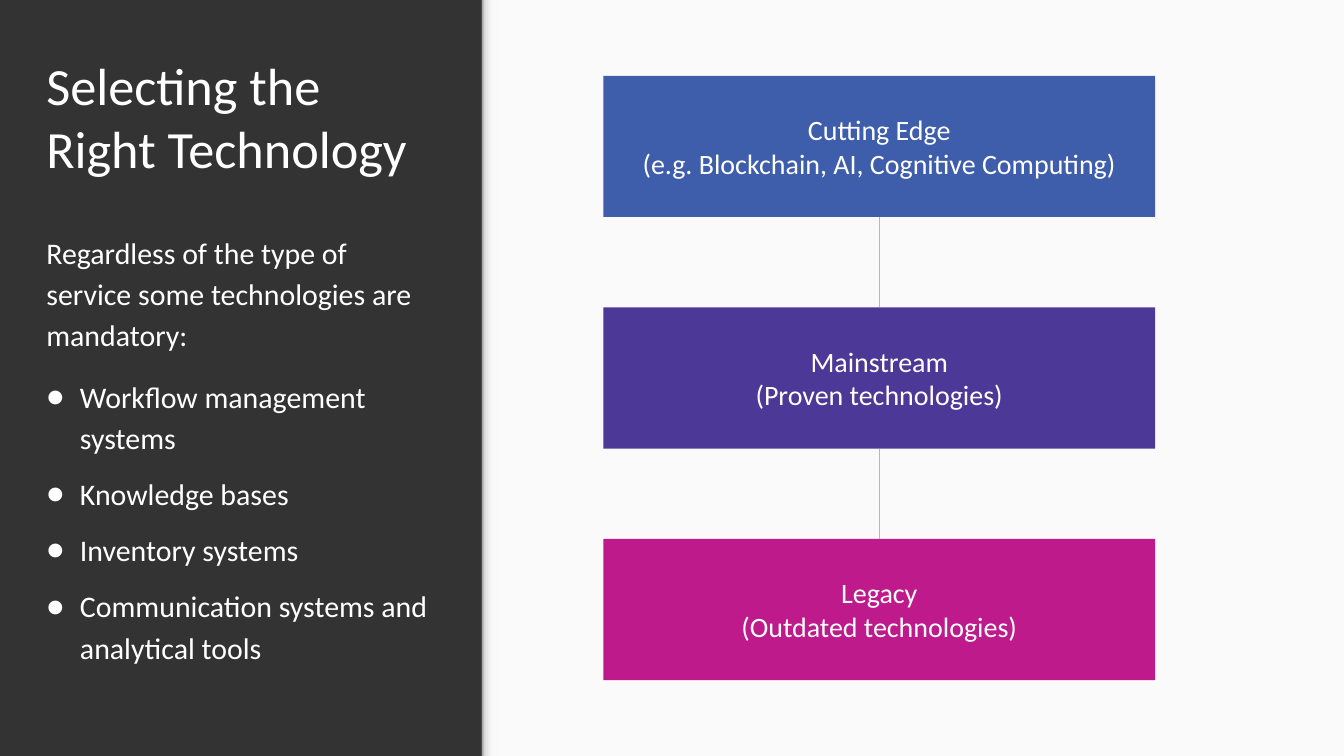
from lxml.etree import SubElement
from pptx import Presentation
from pptx.dml.color import RGBColor
from pptx.enum.shapes import MSO_CONNECTOR, MSO_SHAPE
from pptx.enum.text import MSO_ANCHOR, PP_ALIGN
from pptx.oxml.ns import qn
from pptx.util import Inches, Pt

FONT = "Calibri"
COLORS = {
    "dark": "333333",
    "panel": "FAFAFA",
    "white": "FFFFFF",
    "line": "B7B7B7",
    "blue": "3E5DAA",
    "purple": "4C3896",
    "magenta": "BE1A8C",
}
EDGE_STOPS = [(0, "999999"), (20, "DEDEDE"), (64, "F9F9F9"), (100, "F9F9F9")]
TITLE = "Selecting the Right Technology"
INTRO = "Regardless of the type of service some technologies are mandatory:"
MANDATORY = [
    "Workflow management systems",
    "Knowledge bases",
    "Inventory systems",
    "Communication systems and analytical tools",
]
STAGES = [
    ("Cutting Edge\n(e.g. Blockchain, AI, Cognitive Computing)", "blue"),
    ("Mainstream\n(Proven technologies)", "purple"),
    ("Legacy\n(Outdated technologies)", "magenta"),
]


def rgb(name):
    """Return the named colour."""
    return RGBColor.from_string(COLORS[name])


def add_bullet(p):
    """Give a paragraph a white round bullet and a hanging indent."""
    pPr = p._p.get_or_add_pPr()
    pPr.set("marL", str(Inches(0.5)))
    pPr.set("indent", str(Inches(-0.5)))
    clr = SubElement(pPr, qn("a:buClr"))
    SubElement(clr, qn("a:srgbClr"), val=COLORS["white"])
    SubElement(pPr, qn("a:buFont"), typeface=FONT)
    SubElement(pPr, qn("a:buChar"), char="●")


def write(sp, *texts, size=32, color="white", align=PP_ALIGN.LEFT,
          anchor=MSO_ANCHOR.TOP, spacing=None, after=None, bullets=False):
    """Fill a shape with one formatted paragraph per text."""
    tf = sp.text_frame
    tf.word_wrap = True
    tf.vertical_anchor = anchor
    tf.margin_left = tf.margin_right = Inches(0.2)
    tf.margin_top = tf.margin_bottom = Inches(0.2)
    for i, text in enumerate(texts):
        p = tf.add_paragraph() if i else tf.paragraphs[0]
        p.text = text
        p.alignment = align
        if spacing:
            p.line_spacing = spacing
        if after:
            p.space_after = Pt(after)
        if bullets:
            add_bullet(p)
        for r in p.runs:
            r.font.name = FONT
            r.font.size = Pt(size)
            r.font.color.rgb = rgb(color)


def add_rect(s, left, top, width, height, fill):
    """Add a borderless rectangle in a solid colour."""
    sp = s.shapes.add_shape(MSO_SHAPE.RECTANGLE, Inches(left), Inches(top),
                            Inches(width), Inches(height))
    sp.shadow.inherit = False
    sp.fill.solid()
    sp.fill.fore_color.rgb = rgb(fill)
    sp.line.fill.background()
    return sp


def add_backdrop(s, left, top, width, height):
    """Add the light panel with a soft shaded left edge."""
    add_rect(s, left, top, width, height, "panel")
    edge = add_rect(s, left, top, 0.24, height, "panel")
    edge.fill.gradient()
    edge.fill.gradient_angle = 0
    stops = edge._element.spPr.find(qn("a:gradFill")).find(qn("a:gsLst"))
    stops.clear()
    for pos, value in EDGE_STOPS:
        gs = SubElement(stops, qn("a:gs"), pos=str(pos * 1000))
        SubElement(gs, qn("a:srgbClr"), val=value)


def add_sidebar(s, left, top, width):
    """Add the title, the introduction and the bulleted list."""
    def box(offset, height):
        return s.shapes.add_textbox(Inches(left), Inches(top + offset),
                                    Inches(width), Inches(height))

    write(box(0, 2.08), TITLE, size=56, anchor=MSO_ANCHOR.BOTTOM)
    write(box(2.43, 1.81), INTRO, spacing=1.15, after=16)
    write(box(4.57, 4.98), *MANDATORY, spacing=1.15, after=16, bullets=True)


def add_stages(s, left, top, width, height, box_height=2.1):
    """Add evenly spaced stage boxes joined by thin lines."""
    pitch = (height - box_height) / (len(STAGES) - 1)
    center = Inches(left + width / 2)
    for i, (text, fill) in enumerate(STAGES):
        y = top + i * pitch
        sp = add_rect(s, left, y, width, box_height, fill)
        write(sp, text, size=30, align=PP_ALIGN.CENTER,
              anchor=MSO_ANCHOR.MIDDLE)
        if i:
            line = s.shapes.add_connector(
                MSO_CONNECTOR.STRAIGHT, center,
                Inches(y - pitch + box_height), center, Inches(y))
            line.line.color.rgb = rgb("line")
            line.line.width = Pt(0.75)
            SubElement(line._element.spPr, qn("a:effectLst"))


def main():
    """Build the slide and save it."""
    prs = Presentation()
    prs.slide_width, prs.slide_height = Inches(20), Inches(11.25)
    s = prs.slides.add_slide(prs.slide_layouts[6])
    s.background.fill.solid()
    s.background.fill.fore_color.rgb = rgb("dark")
    add_backdrop(s, 7.17, 0, 12.83, 11.25)
    add_sidebar(s, 0.49, 0.78, 6.14)
    add_stages(s, 8.98, 1.13, 8.21, 8.99)
    prs.save("out.pptx")


if __name__ == "__main__":
    main()
